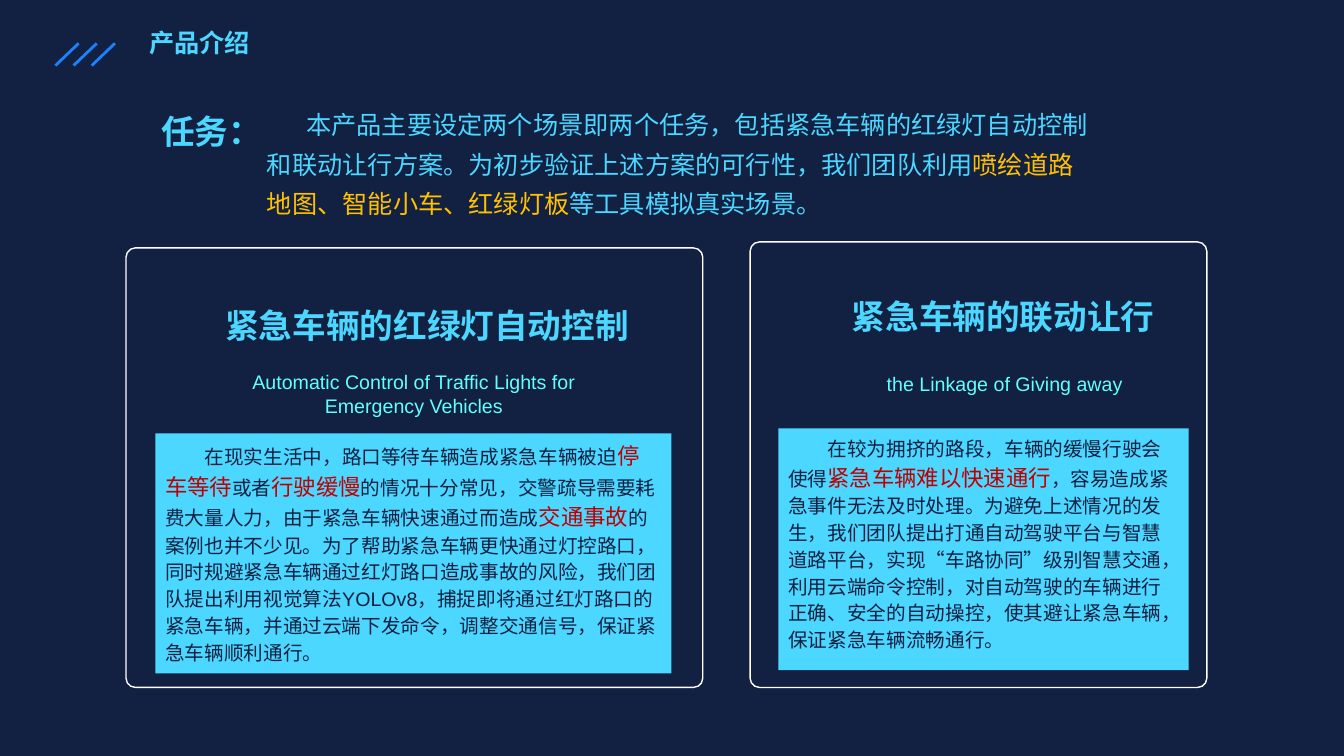
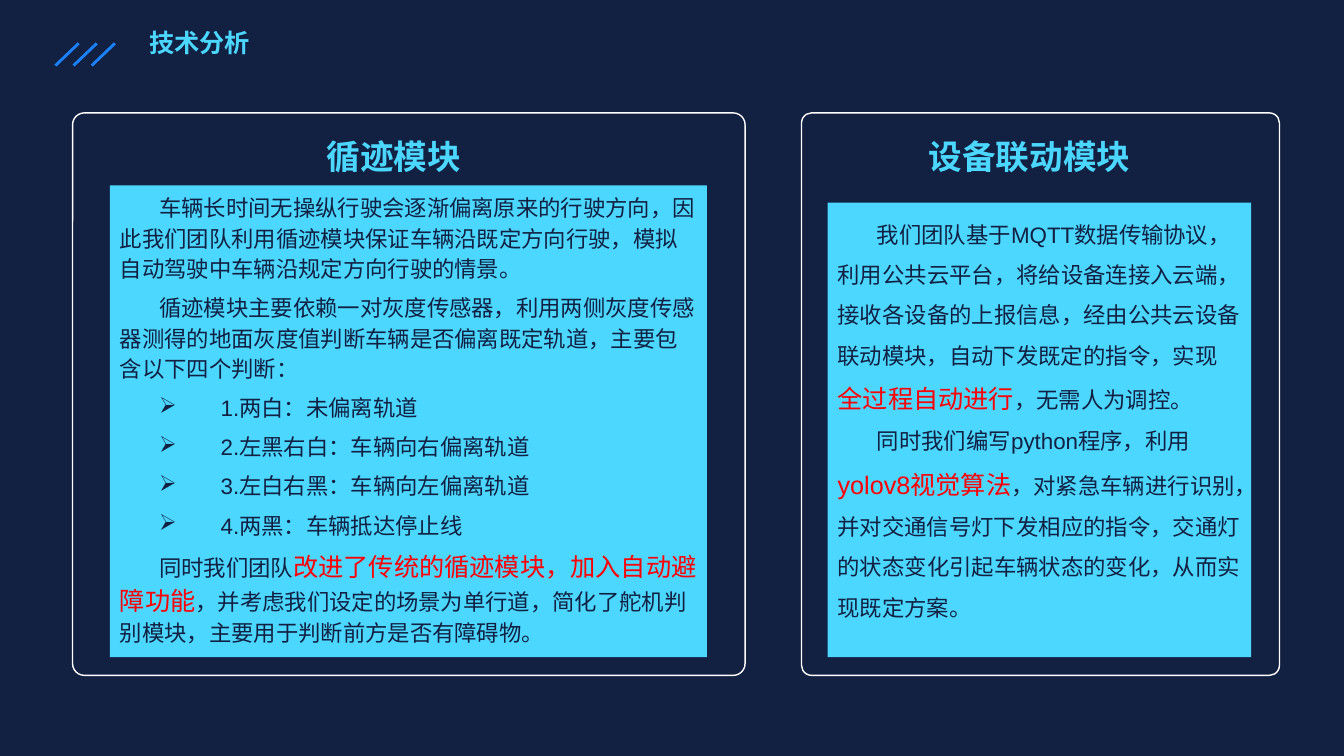
import pptx
import pptx.dml.color
import pptx.enum.shapes
import pptx.enum.text
import pptx.oxml
import pptx.oxml.ns
import pptx.util
from lxml import etree

Inches = pptx.util.Inches
Pt = pptx.util.Pt
SHAPES = pptx.enum.shapes.MSO_SHAPE
ALIGN = pptx.enum.text.PP_ALIGN

COLOURS = {
    "navy": "122041",
    "cyan": "4BD7FF",
    "aqua": "62FFFF",
    "blue": "1B82FF",
    "white": "FFFFFF",
    "gold": "FFC000",
    "crimson": "C00000",
    "red": "FF0000",
}

# Text styles: font attributes plus a colour name
STYLES = {
    "title": ({"size": Pt(18), "bold": True}, "cyan"),
    "heading": ({"size": Pt(24), "bold": True}, "cyan"),
    "subtitle": ({"size": Pt(14)}, "aqua"),
    "intro": ({"size": Pt(18)}, "cyan"),
    "tools": ({"size": Pt(18)}, "gold"),
    "scene": ({"size": Pt(14)}, "navy"),
    "scene_key": ({"size": Pt(16)}, "crimson"),
    "module": ({"size": Pt(16)}, "navy"),
    "module_key": ({"size": Pt(18)}, "red"),
}

# Paragraph formats
CENTRED = {"alignment": ALIGN.CENTER}
INTRO = {"line_spacing": 1.3}
BODY = {"line_spacing": 1.14}
SPACED = {"line_spacing": 1.14, "space_after": Pt(6)}
OPEN = {"line_spacing": 1.5}

FIRST_LINE = (0, 0.39)
BULLET_LINE = (1.0, -0.61)


def colour(name):
    return pptx.dml.color.RGBColor.from_string(COLOURS[name])


def set_values(target, values):
    for name, value in values.items():
        setattr(target, name, value)


def add_span(para, text, style):
    span = para.add_run()
    span.text = text
    values, tint = STYLES[style]
    set_values(span.font, {"name": "Arial", **values})
    span.font.color.rgb = colour(tint)


def set_indent(para, indent, bullet=None):
    margin, first = indent
    properties = para._p.get_or_add_pPr()
    properties.set("marL", str(Inches(margin)))
    properties.set("indent", str(Inches(first)))
    if bullet:
        mark = etree.SubElement(properties, pptx.oxml.ns.qn("a:buChar"))
        mark.set("char", bullet)


def fill_text(box, paras, layout):
    """Each para is (spans, indent, bullet); each span is (text, style)."""
    frame = box.text_frame
    set_values(frame, {"word_wrap": True,
                       "vertical_anchor": pptx.enum.text.MSO_ANCHOR.TOP})
    for number, (spans, indent, bullet) in enumerate(paras):
        para = frame.add_paragraph() if number else frame.paragraphs[0]
        set_indent(para, indent, bullet)
        set_values(para, {"alignment": ALIGN.LEFT, **layout})
        for text, style in spans:
            add_span(para, text, style)


def indented(*spans):
    return spans, FIRST_LINE, None


def bulleted(text, style):
    return [(text, style)], BULLET_LINE, "➢"


def add_label(page, place, text, style, layout):
    box = page.shapes.add_textbox(*map(Inches, place))
    fill_text(box, [([(text, style)], (0, 0), None)], layout)


def add_frame(page, place):
    frame = page.shapes.add_shape(SHAPES.ROUNDED_RECTANGLE, *map(Inches, place))
    frame.adjustments[0] = 0.021
    frame.shadow.inherit = False
    frame.fill.background()
    frame.line.color.rgb = colour("white")
    frame.line.width = Pt(1)


def add_panel(page, place, paras, layout):
    panel = page.shapes.add_shape(SHAPES.RECTANGLE, *map(Inches, place))
    panel.shadow.inherit = False
    panel.fill.solid()
    panel.fill.fore_color.rgb = colour("cyan")
    panel.line.fill.background()
    fill_text(panel, paras, layout)


def add_slash(page, left):
    line = page.shapes.add_connector(
        pptx.enum.shapes.MSO_CONNECTOR.STRAIGHT,
        Inches(left), Inches(0.65), Inches(left + 0.23), Inches(0.43))
    line.line.color.rgb = colour("blue")
    line.line.width = Pt(2)
    etree.SubElement(line._element.spPr, pptx.oxml.ns.qn("a:effectLst"))


def add_page(deck, title):
    """Shared background, slashes and title."""
    page = deck.slides.add_slide(deck.slide_layouts[6])
    page.background.fill.solid()
    page.background.fill.fore_color.rgb = colour("navy")
    for number in range(3):
        add_slash(page, 0.55 + 0.18 * number)
    add_label(page, (1.38, 0.22, 3.73, 0.4), title, "title", {})
    return page


def build_product(deck):
    page = add_page(deck, "产品介绍")

    # Task statement
    add_label(page, (1.5, 0.93, 1.25, 0.62), "任务：", "heading", INTRO)
    intro = page.shapes.add_textbox(*map(Inches, (2.55, 0.95, 8.43, 1.24)))
    fill_text(intro, [indented(
        ("本产品主要设定两个场景即两个任务，包括紧急车辆的红绿灯自动控制和联动让行方案。"
         "为初步验证上述方案的可行性，我们团队利用", "intro"),
        ("喷绘道路地图、智能小车、红绿灯板", "tools"),
        ("等工具模拟真实场景。", "intro"))], INTRO)

    # Traffic light control
    add_frame(page, (1.25, 2.46, 5.72, 4.36))
    add_label(page, (2.01, 2.98, 4.45, 0.64), "紧急车辆的红绿灯自动控制",
              "heading", CENTRED)
    add_label(page, (2.17, 3.62, 3.87, 0.61),
              "Automatic Control of Traffic Lights for Emergency Vehicles",
              "subtitle", CENTRED)
    add_panel(page, (1.54, 4.3, 5.12, 2.38), [indented(
        ("在现实生活中，路口等待车辆造成紧急车辆被迫", "scene"),
        ("停车等待", "scene_key"),
        ("或者", "scene"),
        ("行驶缓慢", "scene_key"),
        ("的情况十分常见，交警疏导需要耗费大量人力，由于紧急车辆快速通过而造成", "scene"),
        ("交通事故", "scene_key"),
        ("的案例也并不少见。为了帮助紧急车辆更快通过灯控路口，"
         "同时规避紧急车辆通过红灯路口造成事故的风险，"
         "我们团队提出利用视觉算法YOLOv8，捕捉即将通过红灯路口的紧急车辆，"
         "并通过云端下发命令，调整交通信号，保证紧急车辆顺利通行。", "scene"))], BODY)

    # Linked giving way
    add_frame(page, (7.44, 2.4, 4.53, 4.42))
    add_label(page, (7.72, 2.89, 4.46, 0.64), "紧急车辆的联动让行",
              "heading", CENTRED)
    add_label(page, (8.3, 3.64, 3.33, 0.37), "the Linkage of Giving away",
              "subtitle", CENTRED)
    add_panel(page, (7.72, 4.25, 4.07, 2.4), [indented(
        ("在较为拥挤的路段，车辆的缓慢行驶会使得", "scene"),
        ("紧急车辆难以快速通行", "scene_key"),
        ("，容易造成紧急事件无法及时处理。为避免上述情况的发生，"
         "我们团队提出打通自动驾驶平台与智慧道路平台，"
         "实现“车路协同”级别智慧交通，利用云端命令控制，"
         "对自动驾驶的车辆进行正确、安全的自动操控，"
         "使其避让紧急车辆，保证紧急车辆流畅通行。", "scene"))], BODY)


def build_technology(deck):
    page = add_page(deck, "技术分析")

    # Line tracking module
    judgements = ["1.两白：未偏离轨道", "2.左黑右白：车辆向右偏离轨道",
                  "3.左白右黑：车辆向左偏离轨道", "4.两黑：车辆抵达停止线"]
    add_frame(page, (0.72, 1.12, 6.67, 5.58))
    add_label(page, (1.03, 1.3, 5.75, 0.82), "循迹模块", "heading", CENTRED)
    add_panel(page, (1.09, 1.84, 5.92, 4.68), [
        indented(("车辆长时间无操纵行驶会逐渐偏离原来的行驶方向，"
                  "因此我们团队利用循迹模块保证车辆沿既定方向行驶，"
                  "模拟自动驾驶中车辆沿规定方向行驶的情景。", "module")),
        indented(("循迹模块主要依赖一对灰度传感器，"
                  "利用两侧灰度传感器测得的地面灰度值判断车辆是否偏离既定轨道，"
                  "主要包含以下四个判断：", "module")),
        *[bulleted(text, "module") for text in judgements],
        indented(("同时我们团队", "module"),
                 ("改进了传统的循迹模块，加入自动避障功能", "module_key"),
                 ("，并考虑我们设定的场景为单行道，简化了舵机判别模块，"
                  "主要用于判断前方是否有障碍物。", "module")),
    ], SPACED)

    # Device linkage module
    add_frame(page, (7.95, 1.12, 4.74, 5.58))
    add_label(page, (8.17, 1.3, 4.08, 0.82), "设备联动模块", "heading", CENTRED)
    add_panel(page, (8.21, 2.01, 4.2, 4.51), [
        indented(("我们团队基于MQTT数据传输协议，利用公共云平台，"
                  "将给设备连接入云端，接收各设备的上报信息，"
                  "经由公共云设备联动模块，自动下发既定的指令，实现", "module"),
                 ("全过程自动进行", "module_key"),
                 ("，无需人为调控。", "module")),
        indented(("同时我们编写python程序，利用", "module"),
                 ("yolov8视觉算法", "module_key"),
                 ("，对紧急车辆进行识别，并对交通信号灯下发相应的指令，"
                  "交通灯的状态变化引起车辆状态的变化，从而实现既定方案。", "module")),
    ], OPEN)


def main():
    deck = pptx.Presentation()
    set_values(deck, {"slide_width": Inches(13.33), "slide_height": Inches(7.5)})
    build_product(deck)
    build_technology(deck)
    deck.save("out.pptx")


if __name__ == "__main__":
    main()
